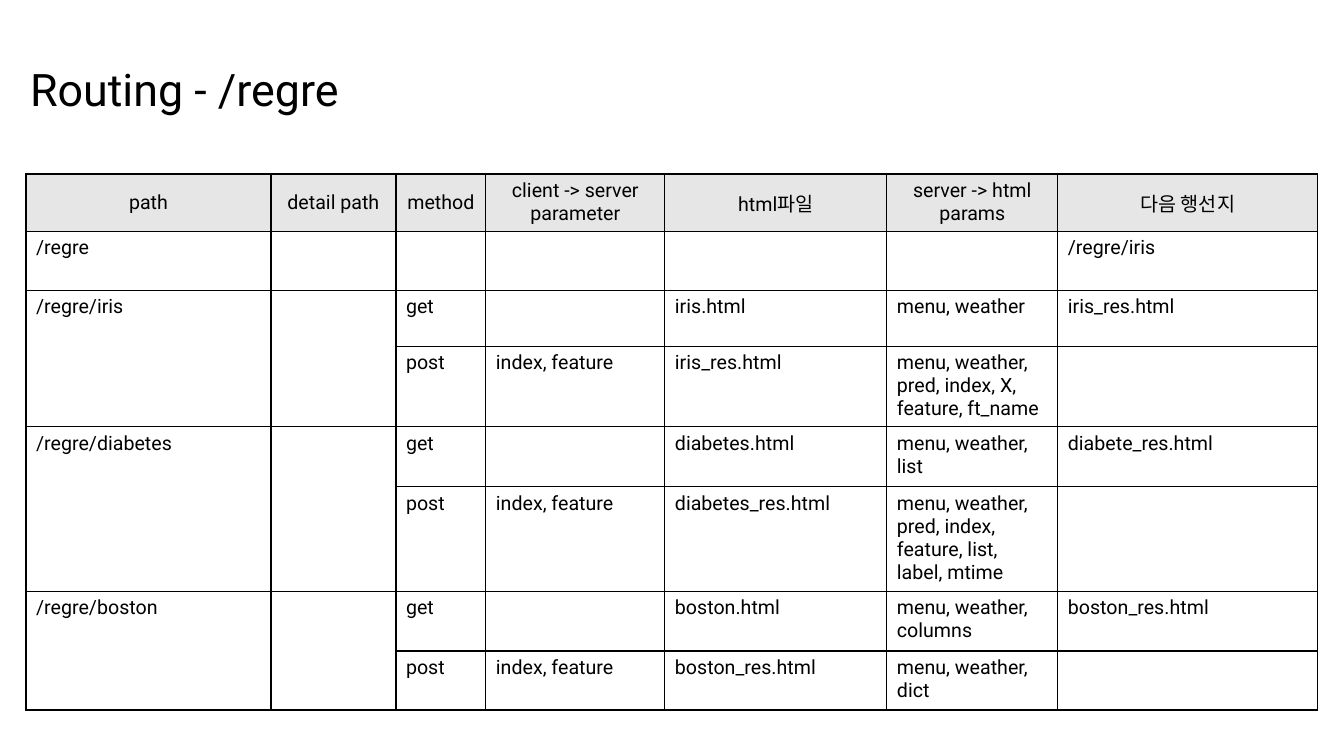
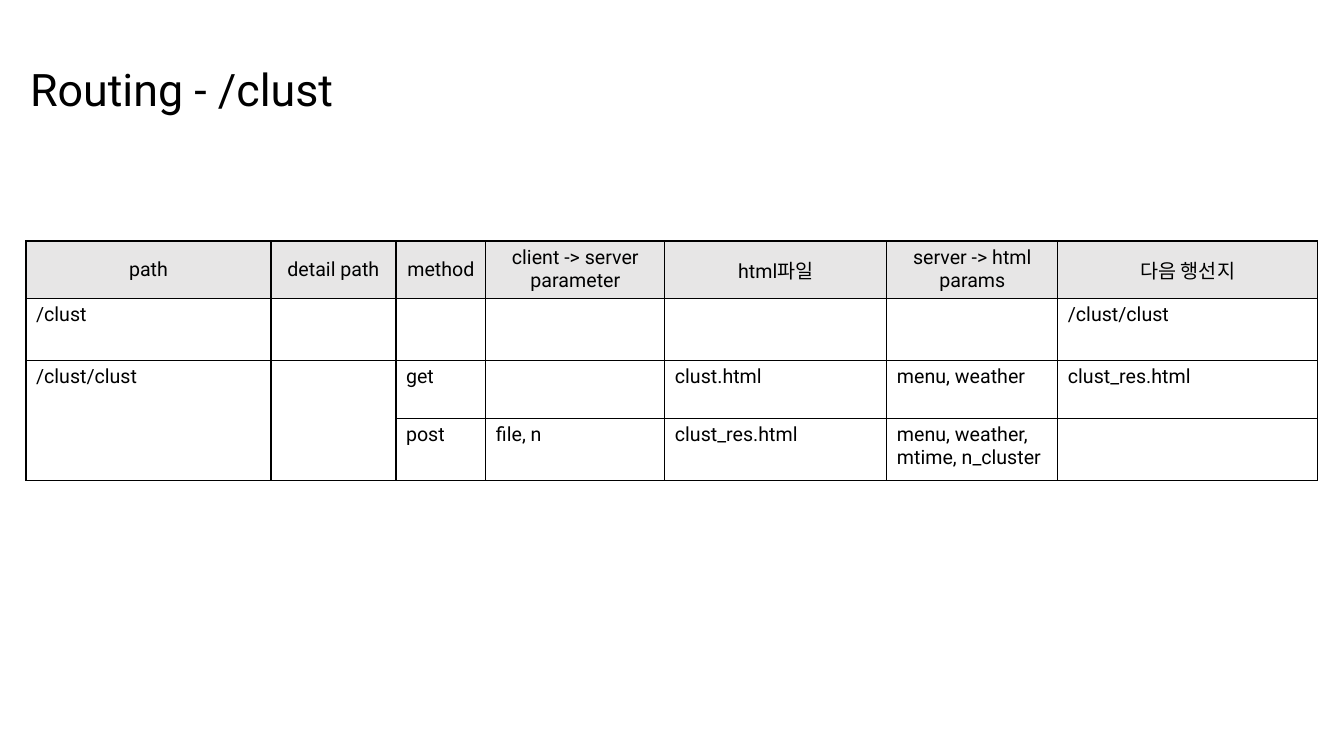
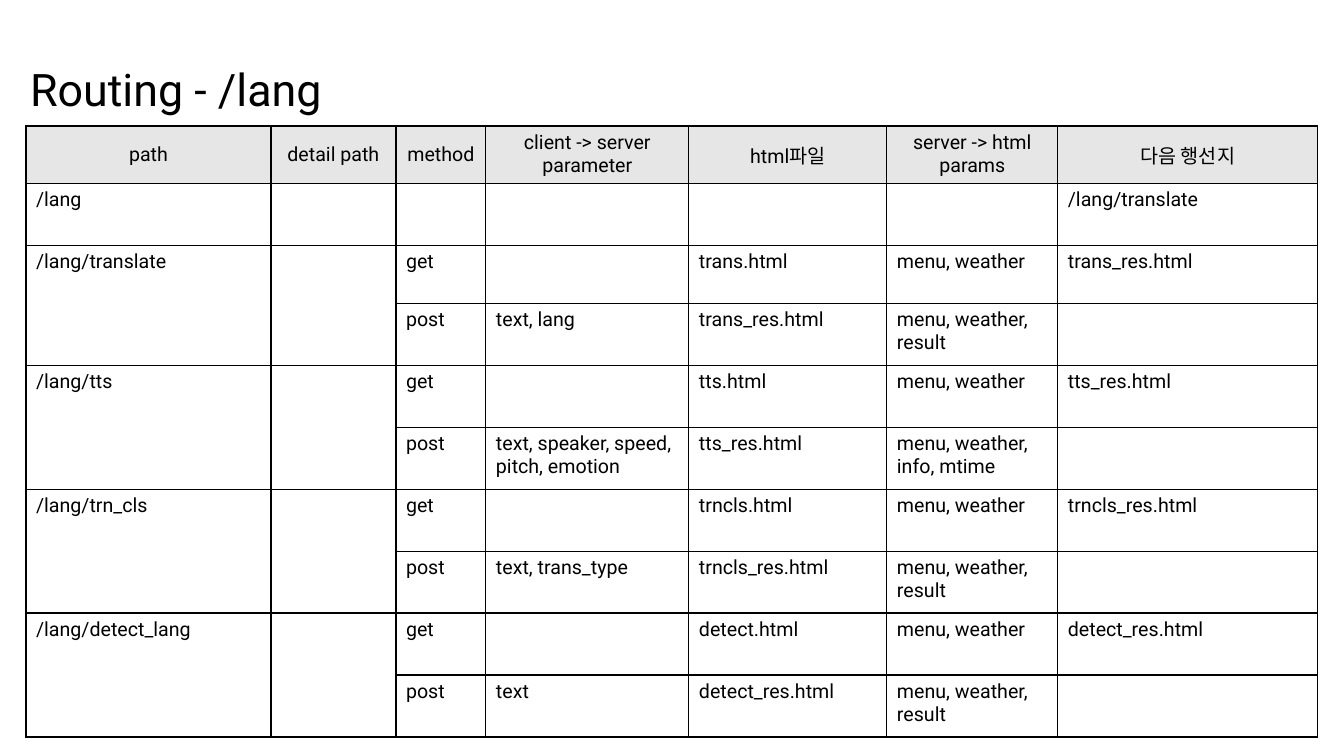
"""Build the routing table slides for /regre, /clust and /lang."""
from lxml.etree import SubElement
from pptx import Presentation
from pptx.dml.color import RGBColor
from pptx.enum.text import MSO_ANCHOR, PP_ALIGN
from pptx.oxml.ns import qn
from pptx.util import Emu, Pt

BLACK = RGBColor(0x00, 0x00, 0x00)
HEADER_GRAY = RGBColor(0xE7, 0xE6, 0xE6)
FONT = "Roboto"
EMU_PER_PX = 914400 / 100.8

HEADINGS = ["path", "detail path", "method", "client -> server parameter",
            "html파일", "server -> html\nparams", "다음 행선지"]
COLUMNS = [245, 125, 90, 179, 222, 171, 260]
WIDE_INPUT_COLUMNS = [245, 125, 90, 203, 198, 171, 260]


def px(length):
    return Emu(round(length * EMU_PER_PX))


class RoutingDeck:
    def __init__(self):
        self.deck = Presentation()
        self.deck.slide_width, self.deck.slide_height = px(1344), px(756)
        self.slide = None

    def new_slide(self):
        self.slide = self.deck.slides.add_slide(self.deck.slide_layouts[6])

    def add_text(self, frame, text, size, align=PP_ALIGN.LEFT, spacing=None):
        for number, line in enumerate(text.split("\n")):
            paragraph = frame.add_paragraph() if number else frame.paragraphs[0]
            paragraph.alignment = align
            paragraph.line_spacing = spacing
            if line:
                run = paragraph.add_run()
                run.text = line
                run.font.name = FONT
                run.font.size = Pt(size)
                run.font.color.rgb = BLACK

    def title(self, text):
        frame = self.slide.shapes.add_textbox(px(0), px(58), px(478), px(68)).text_frame
        frame.word_wrap = True
        frame.vertical_anchor = MSO_ANCHOR.MIDDLE
        frame.margin_left = px(30)
        self.add_text(frame, text, 32, spacing=0.9)

    def border(self, cell):
        properties = cell._tc.get_or_add_tcPr()
        for side in ("a:lnL", "a:lnR", "a:lnT", "a:lnB"):
            line = SubElement(properties, qn(side), w=str(Pt(1)))
            fill = SubElement(line, qn("a:solidFill"))
            SubElement(fill, qn("a:srgbClr"), val=str(BLACK))

    def cell(self, cell, text, is_header):
        self.border(cell)
        if is_header:
            cell.fill.solid()
            cell.fill.fore_color.rgb = HEADER_GRAY
            cell.vertical_anchor = MSO_ANCHOR.MIDDLE
        else:
            cell.fill.background()
        self.add_text(cell.text_frame, text, 14,
                      PP_ALIGN.CENTER if is_header else PP_ALIGN.LEFT)

    def table(self, top, columns, heights, rows):
        table = self.slide.shapes.add_table(
            len(rows), len(columns), px(26), px(top),
            px(sum(columns)), px(sum(heights))).table
        table.first_row = table.horz_banding = False
        for column, width in zip(table.columns, columns):
            column.width = px(width)
        for row, height in zip(table.rows, heights):
            row.height = px(height)
        for r, texts in enumerate(rows):
            for c, text in enumerate(texts):
                self.cell(table.cell(r, c), text, r == 0)
        for r in range(2, len(rows), 2):
            for c in range(2):
                table.cell(r, c).merge(table.cell(r + 1, c))

    def routing(self, root, top, columns, heights, routes):
        self.new_slide()
        self.title(f"Routing - {root}")
        rows = [HEADINGS, [root, "", "", "", "", "", routes[0][0]]]
        for route, page, get_params, inputs, post_params, target in routes:
            rows.append([route, "", "get", "", f"{page}.html", get_params, target])
            rows.append(["", "", "post", inputs, f"{page}_res.html", post_params, ""])
        self.table(top, columns, heights, rows)


def main():
    routing_deck = RoutingDeck()
    routing_deck.routing("/regre", 174, COLUMNS, [56, 59, 56, 79, 60, 103, 60, 59], [
        ("/regre/iris", "iris", "menu, weather", "index, feature",
         "menu, weather,\npred, index, X,\nfeature, ft_name", "iris_res.html"),
        ("/regre/diabetes", "diabetes", "menu, weather, list", "index, feature",
         "menu, weather, pred, index, feature, list, label, mtime", "diabete_res.html"),
        ("/regre/boston", "boston", "menu, weather, columns", "index, feature",
         "menu, weather, dict", "boston_res.html"),
    ])
    routing_deck.routing("/clust", 241, COLUMNS, [56, 62, 58, 62], [
        ("/clust/clust", "clust", "menu, weather", "file, n",
         "menu, weather,\nmtime, n_cluster", "clust_res.html"),
    ])
    routing_deck.routing("/lang", 126, WIDE_INPUT_COLUMNS, [56, 62, 58] + [62] * 7, [
        ("/lang/translate", "trans", "menu, weather", "text, lang",
         "menu, weather,\nresult", "trans_res.html"),
        ("/lang/tts", "tts", "menu, weather", "text, speaker, speed, pitch, emotion",
         "menu, weather, info, mtime", "tts_res.html"),
        ("/lang/trn_cls", "trncls", "menu, weather", "text, trans_type",
         "menu, weather, result", "trncls_res.html"),
        ("/lang/detect_lang", "detect", "menu, weather", "text",
         "menu, weather, result", "detect_res.html"),
    ])
    routing_deck.deck.save("out.pptx")


if __name__ == "__main__":
    main()
